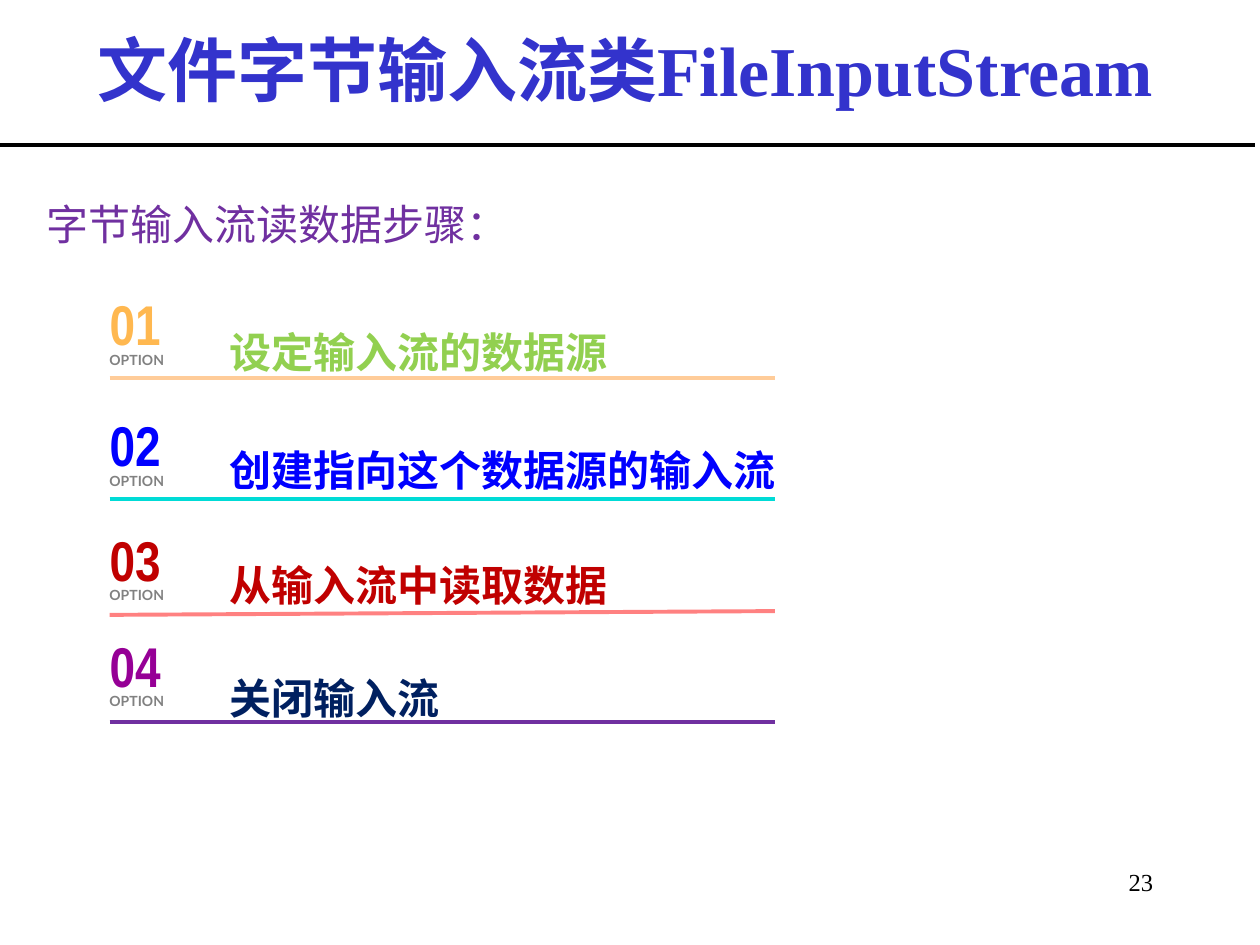
import pptx
import pptx.util
import pptx.dml.color
import pptx.enum.shapes
import pptx.enum.text
import pptx.oxml.ns
import lxml.etree

Inches = pptx.util.Inches
Pt = pptx.util.Pt
RGBColor = pptx.dml.color.RGBColor
ALIGN = pptx.enum.text.PP_ALIGN
ANCHOR = pptx.enum.text.MSO_ANCHOR
qn = pptx.oxml.ns.qn

BLACK = RGBColor(0x00, 0x00, 0x00)
TITLE_BLUE = RGBColor(0x33, 0x33, 0xCC)
PURPLE = RGBColor(0x70, 0x30, 0xA0)
GRAY = RGBColor(0x81, 0x81, 0x81)
AMBER = RGBColor(0xFF, 0xB8, 0x50)
GREEN = RGBColor(0x92, 0xD0, 0x50)
PEACH = RGBColor(0xFF, 0xCC, 0x99)
BLUE = RGBColor(0x00, 0x00, 0xFF)
TURQUOISE = RGBColor(0x00, 0xDB, 0xD6)
RED = RGBColor(0xC0, 0x00, 0x00)
PINK = RGBColor(0xFF, 0x81, 0x81)
MAGENTA = RGBColor(0x96, 0x00, 0x96)
NAVY = RGBColor(0x00, 0x20, 0x60)

SERIF = "Times New Roman"
CHINESE = "Noto Sans CJK SC"

STEPS = [
    ("01", "设定输入流的数据源", AMBER, GREEN, PEACH, 2.03, 2.42, 3.0, 3.0),
    ("02", "创建指向这个数据源的输入流", BLUE, BLUE, TURQUOISE, 2.99, 3.36, 3.96, 3.96),
    ("03", "从输入流中读取数据", RED, RED, PINK, 3.9, 4.27, 4.88, 4.85),
    ("04", "关闭输入流", MAGENTA, NAVY, PURPLE, 4.74, 5.17, 5.73, 5.73),
]


def place(shape, left, top, width, height):
    """Move and size a shape, in inches."""
    shape.left, shape.top = Inches(left), Inches(top)
    shape.width, shape.height = Inches(width), Inches(height)


def write(frame, text, size, font, color, bold=True, align=ALIGN.LEFT,
          anchor=ANCHOR.TOP, inset=(0.1, 0.05), wrap=True):
    """Write one formatted run into a text frame and return its paragraph."""
    frame.word_wrap = wrap
    frame.auto_size = pptx.enum.text.MSO_AUTO_SIZE.NONE
    frame.vertical_anchor = anchor
    frame.margin_left = frame.margin_right = Inches(inset[0])
    frame.margin_top = frame.margin_bottom = Inches(inset[1])
    para = frame.paragraphs[0]
    para.alignment = align
    span = para.add_run()
    span.text = text
    span.font.size = Pt(size)
    span.font.name = font
    span.font.bold = bold
    span.font.color.rgb = color
    east_asian = lxml.etree.Element(qn("a:ea"), typeface=CHINESE)
    span.font._element.find(qn("a:latin")).addnext(east_asian)
    return para


def add_text(shapes, box, *args, **options):
    """Add a text box with one formatted run and return its paragraph."""
    holder = shapes.add_textbox(*(Inches(value) for value in box))
    return write(holder.text_frame, *args, **options)


def add_rule(page, left, start, right, end, color):
    """Draw a plain rule from (left, start) to (right, end)."""
    rule = page.shapes.add_connector(
        pptx.enum.shapes.MSO_CONNECTOR.STRAIGHT,
        Inches(left), Inches(start), Inches(right), Inches(end))
    rule.line.color.rgb = color
    rule.line.width = Pt(2.25)
    lxml.etree.SubElement(rule._element.spPr, qn("a:effectLst"))


def add_heading(page, box):
    """Fill the title placeholder and draw the rule below it."""
    title = page.shapes.title
    place(title, *box)
    write(title.text_frame, "文件字节输入流类FileInputStream", 40, SERIF,
          TITLE_BLUE, align=ALIGN.CENTER, anchor=ANCHOR.MIDDLE)
    add_rule(page, -0.04, 1.15, 9.96, 1.15, BLACK)


def add_lead(page, box):
    """Fill the body placeholder with the unbulleted lead line."""
    body = page.placeholders[1]
    place(body, *box)
    para = write(body.text_frame, "字节输入流读数据步骤：", 24, CHINESE, PURPLE,
                 bold=False, anchor=ANCHOR.MIDDLE, inset=(0.13, 0))
    para.space_before = Pt(0)
    properties = para._p.get_or_add_pPr()
    properties.set("marL", "0")
    properties.set("indent", "0")
    lxml.etree.SubElement(properties, qn("a:buNone"))


def add_step(page, left, right, step):
    """Add a numbered step with its label and rule between left and right."""
    (number, label, number_color, label_color, rule_color,
     number_top, label_top, rule_start, rule_end) = step
    badge = page.shapes.add_group_shape()
    add_text(badge.shapes, (left, number_top, 0.49, 1.07), number, 32,
             "Arial Narrow", number_color, anchor=ANCHOR.MIDDLE, inset=(0, 0))
    add_text(badge.shapes, (left - 0.1, number_top + 0.71, 0.64, 0.24),
             "OPTION", 8, "Lato", GRAY, wrap=False)
    para = add_text(page.shapes, (left + 0.85, label_top, 4.64, 0.62), label,
                    24, "Arial", label_color)
    para.line_spacing = 1.3
    add_rule(page, left, rule_start, right, rule_end, rule_color)


def add_page_number(page, box):
    """Add the page number at the lower right."""
    add_text(page.shapes, box, "23", 14, SERIF, BLACK, bold=False,
             align=ALIGN.RIGHT)


def main():
    """Build and save the deck."""
    deck = pptx.Presentation()
    deck.slide_width, deck.slide_height = Inches(10), Inches(7.5)
    page = deck.slides.add_slide(deck.slide_layouts[1])
    add_heading(page, (0.48, 0.09, 8.97, 0.91))
    add_lead(page, (0.24, 1.51, 9.45, 0.53))
    for step in STEPS:
        add_step(page, 0.87, 6.15, step)
    add_page_number(page, (8.17, 6.83, 1.08, 0.5))
    deck.save("out.pptx")


if __name__ == "__main__":
    main()
